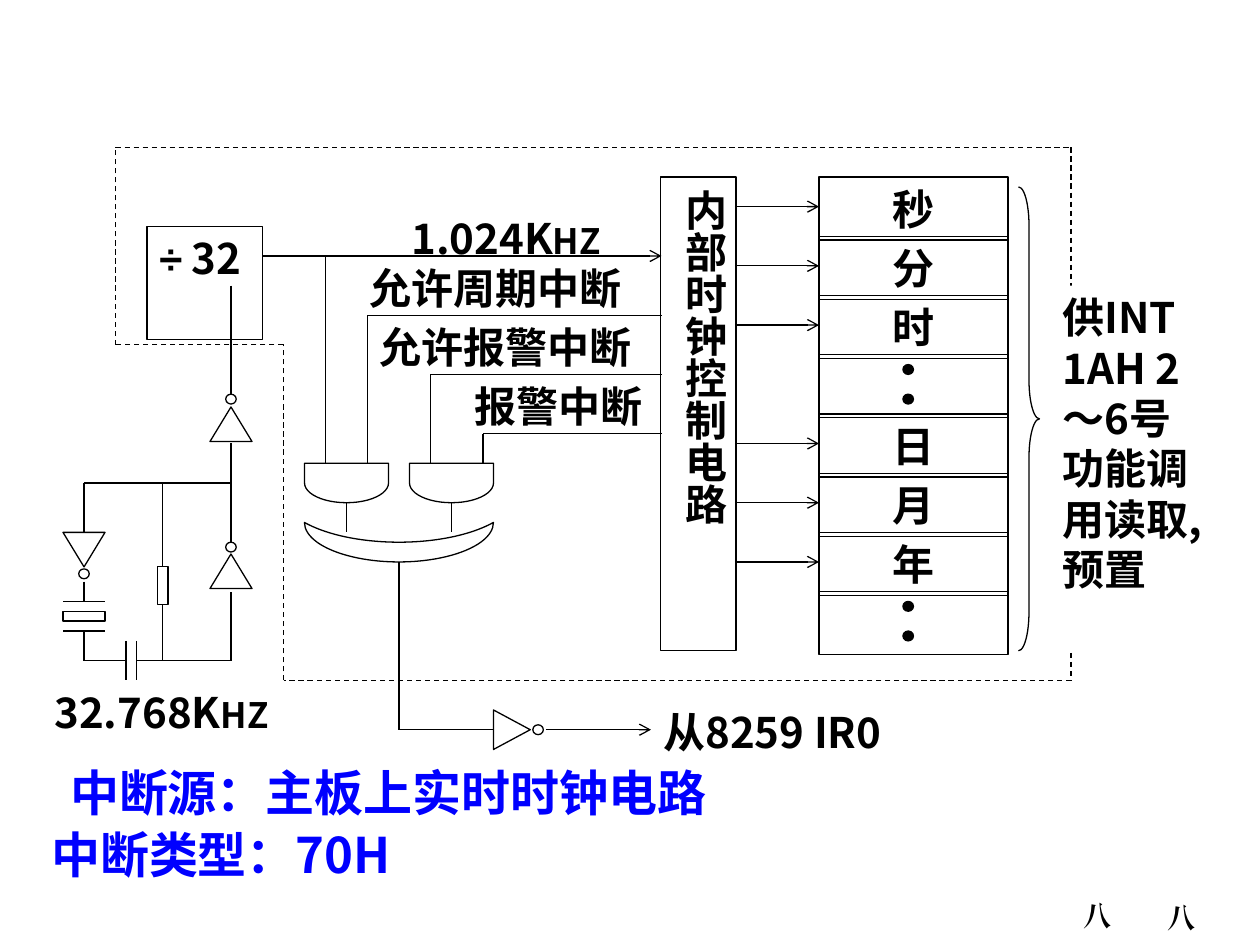
"""Draw the real-time clock interrupt circuit on a fine grid."""
from dataclasses import dataclass
from itertools import pairwise
from typing import Optional

from lxml.etree import SubElement
from pptx import Presentation
from pptx.dml.color import RGBColor
from pptx.enum.dml import MSO_LINE
from pptx.enum.shapes import MSO_CONNECTOR, MSO_SHAPE as Kind
from pptx.enum.text import MSO_ANCHOR, MSO_AUTO_SIZE, PP_ALIGN as Align
from pptx.oxml.ns import qn
from pptx.util import Inches, Pt

BLACK = RGBColor(0, 0, 0)
WHITE = RGBColor(255, 255, 255)
BLUE = RGBColor(0, 0, 255)
SANS = "Noto Sans CJK SC"
SERIF = "Times New Roman"
COLUMN = 1 / 12
ROW = 0.235 / 3
TOP = 1.17
REGISTER_STEP = 6


@dataclass(frozen=True)
class Run:
    text: str
    size: int = 24
    font: str = SANS
    colour: RGBColor = BLACK


@dataclass(frozen=True)
class Part:
    column: float
    row: float
    width: float
    height: float
    kind: Kind = Kind.RECTANGLE
    rotation: int = 0
    fill: Optional[RGBColor] = None
    line: Optional[RGBColor] = BLACK
    runs: tuple[Run, ...] = ()
    align: Align = Align.LEFT
    wrap: bool = True
    vertical: bool = False
    adjustments: tuple[float, ...] = ()


@dataclass(frozen=True)
class Wire:
    points: tuple[tuple[float, float], ...]
    arrow: bool = False
    dashed: bool = False


def label(column: float, row: float, width: float, *runs: Run, **options) -> Part:
    """Describe a line of text without an outline."""
    return Part(column, row, width, 6.4, **({"line": None, "runs": runs} | options))


def gate(kind: Kind, column: float, row: float, width: float, height: float,
         rotation: int = 0) -> Part:
    """Describe a white circuit symbol."""
    return Part(column, row, width, height, kind, rotation, WHITE)


def bubble(column: float, row: float) -> Part:
    """Describe the small inverting circle of a gate."""
    return gate(Kind.OVAL, column, row, 1, 1)


def register(index: int, name: str) -> Part:
    """Describe one cell of the clock register column."""
    runs = (Run(name),) if name else ()
    return Part(78, 3 + REGISTER_STEP * index, 18, 6.4, runs=runs, align=Align.CENTER)


REGISTERS = ("秒", "分", "时", "", "日", "月", "年", "")

WIRES = [
    Wire(((11, 0), (102, 0), (102, 54), (27, 54), (27, 20), (11, 20), (11, 0)), dashed=True),
    *(Wire(((70, 6 + REGISTER_STEP * index), (78, 6 + REGISTER_STEP * index)), arrow=True)
      for index, name in enumerate(REGISTERS) if name),
    Wire(((25, 11), (63, 11)), arrow=True),
    Wire(((31, 11), (31, 32))),
    *(Wire(((63, row), (column, row), (column, 32)))
      for column, row in ((35, 17), (41, 23), (46, 29))),
    *(Wire(((column, 36), (column, 39))) for column in (33, 43)),
    Wire(((38, 42), (38, 59), (47, 59))),
    Wire(((52, 59), (62, 59)), arrow=True),
    *(Wire(((6, row), (10, row))) for row in (46, 49)),
    *(Wire(((column, 50), (column, 54))) for column in (12, 13)),
    Wire(((8, 44), (8, 46))),
    Wire(((8, 49), (8, 52), (12, 52))),
    Wire(((13, 52), (22, 52), (22, 45))),
    Wire(((8, 39), (8, 34), (22, 34))),
    Wire(((22, 30), (22, 40))),
    Wire(((22, 14), (22, 25))),
    Wire(((15.5, 34), (15.5, 42.5))),
    Wire(((15.5, 46.3), (15.5, 52))),
]

PARTS = [
    *(register(index, name) for index, name in enumerate(REGISTERS)),
    *(Part(86, row, 1, 1, Kind.OVAL, fill=BLACK) for row in (22, 25, 46, 49)),
    Part(62.9, 3, 7.2, 48, runs=(Run("内部时钟控制电路"),), align=Align.CENTER, vertical=True),
    Part(14, 8, 11, 11.5, runs=(Run("÷", font="Arial"), Run(" 32"))),
    label(38, 6, 32, Run("1.024K"), Run("HZ", 20)),
    label(34, 11, 35, Run("允许周期中断")),
    label(35, 17, 39, Run("允许报警中断")),
    label(44, 23, 45, Run("报警中断")),
    *(gate(Kind.FLOWCHART_DELAY, column, 32, 8, 4, 90) for column in (29, 39)),
    gate(Kind.MOON, 29, 38, 18, 4, 270),
    Part(97, 4, 2, 47, Kind.RIGHT_BRACE, adjustments=(1.85, 0.5)),
    Part(100, 14, 16, 37, fill=WHITE, line=None,
         runs=(Run("供INT 1AH 2～6号功能调用读取,预置"),)),
    *(gate(Kind.ISOSCELES_TRIANGLE, 20, row, 4, 3.5) for row in (26.3, 41.2)),
    gate(Kind.ISOSCELES_TRIANGLE, 6, 39, 4, 3.5, 180),
    gate(Kind.ISOSCELES_TRIANGLE, 47, 57, 3.5, 4, 90),
    bubble(21.5, 25), bubble(21.5, 40), bubble(7.5, 42.7), bubble(50.75, 58.5),
    gate(Kind.RECTANGLE, 6, 47, 4, 1),
    gate(Kind.RECTANGLE, 15, 42.5, 1, 3.8),
    label(4, 54, 31, Run("32.768K"), Run("HZ", 20)),
    label(62, 56, 40, Run("从8259 IR0")),
    label(5.5, 61.7, 64, Run("中断源：主板上实时时钟电路", 28, colour=BLUE),
          line=WHITE, wrap=False),
    label(3.7, 68, 37, Run("中断类型：70H", 28, colour=BLUE), line=WHITE, wrap=False),
    label(102, 75.5, 5, Run("八", 16, SERIF), wrap=False),
    label(110, 75.7, 5.6, Run("八", 16, SERIF), wrap=False),
]


def position(column: float, row: float) -> tuple[int, int]:
    """Turn a grid place into slide lengths."""
    return Inches(column * COLUMN), Inches(TOP + row * ROW)


def write(paragraph, text: str, *, size: int, font: str, colour: RGBColor) -> None:
    """Add bold text in the given format."""
    run = paragraph.add_run()
    run.text = text
    run.font.size = Pt(size)
    run.font.bold = True
    run.font.color.rgb = colour
    run.font.name = font
    SubElement(run.font._element, qn("a:ea"), typeface=font)


def draw_part(slide, part: Part) -> None:
    """Draw a shape whose grid box is the one seen after rotation."""
    left, top = position(part.column, part.row)
    width, height = Inches(part.width * COLUMN), Inches(part.height * ROW)
    if part.rotation % 180:
        left, top = left + (width - height) // 2, top + (height - width) // 2
        width, height = height, width
    shape = slide.shapes.add_shape(part.kind, left, top, width, height)
    shape.shadow.inherit = False
    shape.rotation = part.rotation
    for index, value in enumerate(part.adjustments):
        shape.adjustments[index] = value
    for target, colour in ((shape.fill, part.fill), (shape.line.fill, part.line)):
        if colour is None:
            target.background()
        else:
            target.solid()
            target.fore_color.rgb = colour
    shape.line.width = Pt(0.75)
    if not part.runs:
        return
    frame = shape.text_frame
    frame.word_wrap = part.wrap
    frame.auto_size = MSO_AUTO_SIZE.SHAPE_TO_FIT_TEXT
    frame.vertical_anchor = MSO_ANCHOR.TOP
    if part.vertical:
        frame._txBody.bodyPr.set("vert", "eaVert")
        frame.margin_left = frame.margin_right = Inches(0.05)
        frame.margin_top = frame.margin_bottom = Inches(0.1)
    paragraph = frame.paragraphs[0]
    paragraph.alignment = part.align
    for run in part.runs:
        write(paragraph, run.text, size=run.size, font=run.font, colour=run.colour)


def draw_wire(slide, wire: Wire) -> None:
    """Draw a connector between each pair of neighbouring points."""
    for start, end in pairwise(wire.points):
        connector = slide.shapes.add_connector(
            MSO_CONNECTOR.STRAIGHT, *position(*start), *position(*end))
        connector.line.color.rgb = BLACK
        connector.line.width = Pt(0.75)
        if wire.dashed:
            connector.line.dash_style = MSO_LINE.DASH
        if wire.arrow:
            SubElement(connector.line._get_or_add_ln(), qn("a:tailEnd"), type="arrow")
        SubElement(connector._element.spPr, qn("a:effectLst"))


def main() -> None:
    """Build and save the slide."""
    presentation = Presentation()
    presentation.slide_width, presentation.slide_height = Inches(10), Inches(7.5)
    slide = presentation.slides.add_slide(presentation.slide_layouts[6])
    for wire in WIRES:
        draw_wire(slide, wire)
    for part in PARTS:
        draw_part(slide, part)
    presentation.save("out.pptx")


if __name__ == "__main__":
    main()
